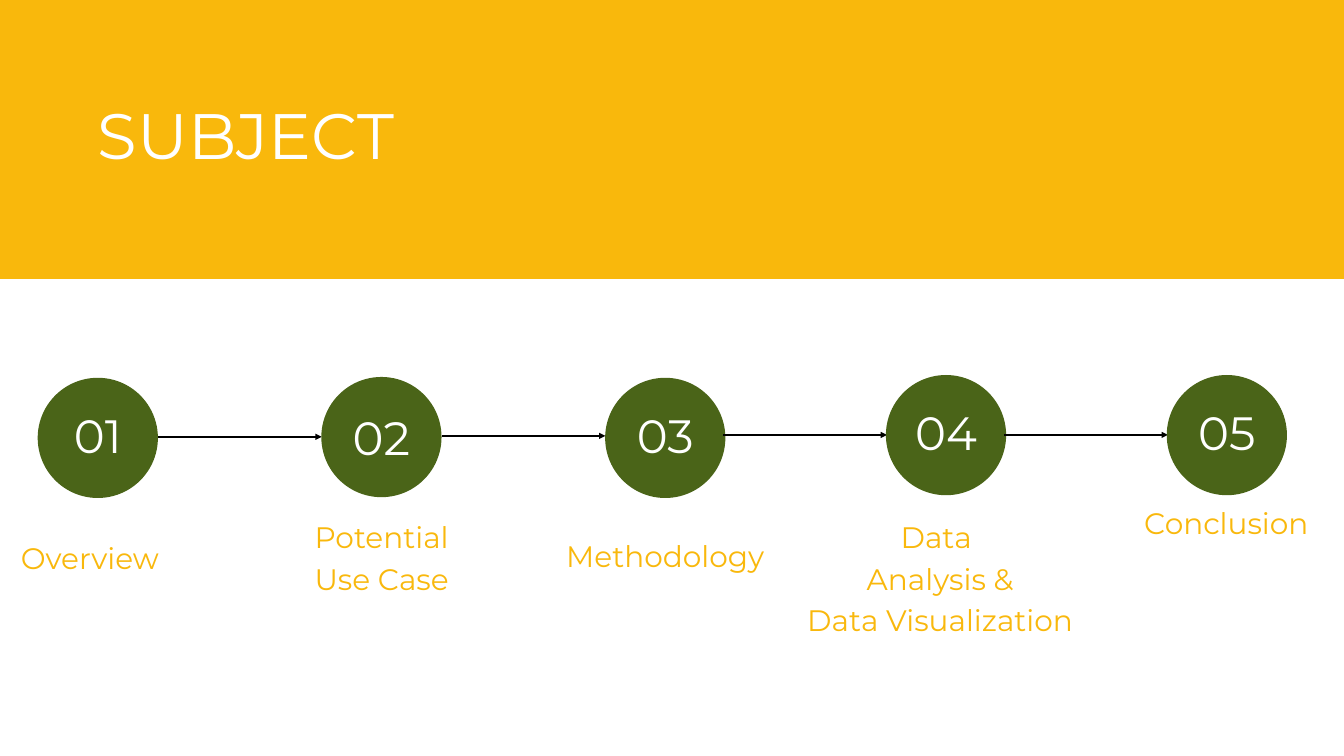
from dataclasses import dataclass

from lxml import etree
from pptx import Presentation
from pptx.dml.color import RGBColor
from pptx.enum import shapes, text
from pptx.oxml import ns
from pptx.util import Pt


@dataclass(frozen=True)
class Theme:
    """Colours, type sizes and line spacings of the slide."""
    font: str = "Montserrat"
    gold: str = "F9B80C"
    green: str = "4A6418"
    white: str = "FFFFFF"
    black: str = "000000"
    title_size: float = 68.7
    number_size: float = 50
    label_size: float = 31.7
    title_leading: float = 60.4
    number_leading: float = 45.5
    label_leading: float = 44.3


@dataclass(frozen=True)
class Step:
    """One stop of the agenda, with its places in points."""
    label: str
    circle: tuple
    number_top: float
    label_box: tuple
    arrow: tuple = None
    align: text.PP_ALIGN = text.PP_ALIGN.CENTER


THEME = Theme()
DIAMETER = 128.8
NUMBER_OVERHANG = 10
ARROW_LENGTH = 175.5
STEPS = [
    Step("Overview", (40.4, 404.8), 450.7, (22.3, 572.2, 165.6, 43),
         (169.2, 468), text.PP_ALIGN.LEFT),
    Step("Potential Use Case", (344.3, 403.9), 452.9, (316.8, 550, 184.3, 87), (473.2, 467)),
    Step("Methodology", (648.4, 404.8), 450.7, (595.4, 569.7, 234.7, 43), (774.8, 466)),
    Step("Data \nAnalysis &\nData Visualization", (949.2, 401.8), 447.1,
         (862.6, 550, 289.4, 175.7), (1075.8, 466)),
    Step("Conclusion", (1250.1, 401.8), 447.1, (1209.6, 534.4, 208.8, 43)),
]


def write(shape, content, size, leading, color, align=text.PP_ALIGN.CENTER):
    """Fill a shape with formatted text, one paragraph per line."""
    frame = shape.text_frame
    frame.text = content
    frame.word_wrap = True
    frame.auto_size = text.MSO_AUTO_SIZE.NONE
    frame.vertical_anchor = text.MSO_ANCHOR.TOP
    frame.margin_left = frame.margin_top = frame.margin_right = frame.margin_bottom = 0
    for paragraph in frame.paragraphs:
        paragraph.alignment = align
        paragraph.line_spacing = Pt(leading)
        paragraph.space_before = Pt(0)
        paragraph.font.name = THEME.font
        paragraph.font.size = Pt(size)
        paragraph.font.color.rgb = RGBColor.from_string(color)


class Builder:
    """Holds the theme and the current slide."""

    def __init__(self, slide, theme):
        self.slide = slide
        self.theme = theme

    def block(self, kind, box, color):
        """Draw a plain filled shape."""
        shape = self.slide.shapes.add_shape(kind, *map(Pt, box))
        shape.shadow.inherit = False
        shape.fill.solid()
        shape.fill.fore_color.rgb = RGBColor.from_string(color)
        shape.line.fill.background()
        return shape

    def title(self, content, box, band):
        """Place the title placeholder in front of its band."""
        title = self.slide.shapes.title
        title.left, title.top, title.width, title.height = map(Pt, box)
        write(title, content, self.theme.title_size, self.theme.title_leading,
              self.theme.white, text.PP_ALIGN.LEFT)
        band.element.addnext(title.element)

    def label(self, content, box, **style):
        """Add a text box."""
        write(self.slide.shapes.add_textbox(*map(Pt, box)), content, **style)

    def arrow(self, left, top):
        """Draw an arrow to the next step."""
        arrow = self.slide.shapes.add_connector(
            shapes.MSO_CONNECTOR.STRAIGHT, Pt(left), Pt(top), Pt(left + ARROW_LENGTH), Pt(top))
        arrow.line.width = Pt(2.25)
        arrow.line.color.rgb = RGBColor.from_string(self.theme.black)
        etree.SubElement(arrow.line._get_or_add_ln(), ns.qn("a:tailEnd"), type="triangle")
        etree.SubElement(arrow.element.spPr, ns.qn("a:effectLst"))

    def step(self, number, step):
        """Draw a numbered circle with its label and arrow."""
        theme = self.theme
        left, top = step.circle
        self.block(shapes.MSO_SHAPE.OVAL, (left, top, DIAMETER, DIAMETER), theme.green)
        number_box = (left - NUMBER_OVERHANG, step.number_top, DIAMETER + 2 * NUMBER_OVERHANG, 48)
        self.label(f"{number:02}", number_box, size=theme.number_size,
                   leading=theme.number_leading, color=theme.white)
        self.label(step.label, step.label_box, size=theme.label_size,
                   leading=theme.label_leading, color=theme.gold, align=step.align)
        if step.arrow:
            self.arrow(*step.arrow)


def main():
    """Build and save the agenda slide."""
    presentation = Presentation()
    presentation.slide_width, presentation.slide_height = Pt(1440), Pt(810)
    slide = presentation.slides.add_slide(presentation.slide_layouts.get_by_name("Title Only"))
    builder = Builder(slide, THEME)
    band = builder.block(shapes.MSO_SHAPE.RECTANGLE, (0, 0, 1440, 298.8), THEME.gold)
    builder.title("SUBJECT", (105, 124.6, 347, 65.5), band)
    for number, step in enumerate(STEPS, 1):
        builder.step(number, step)
    presentation.save("out.pptx")


if __name__ == "__main__":
    main()
